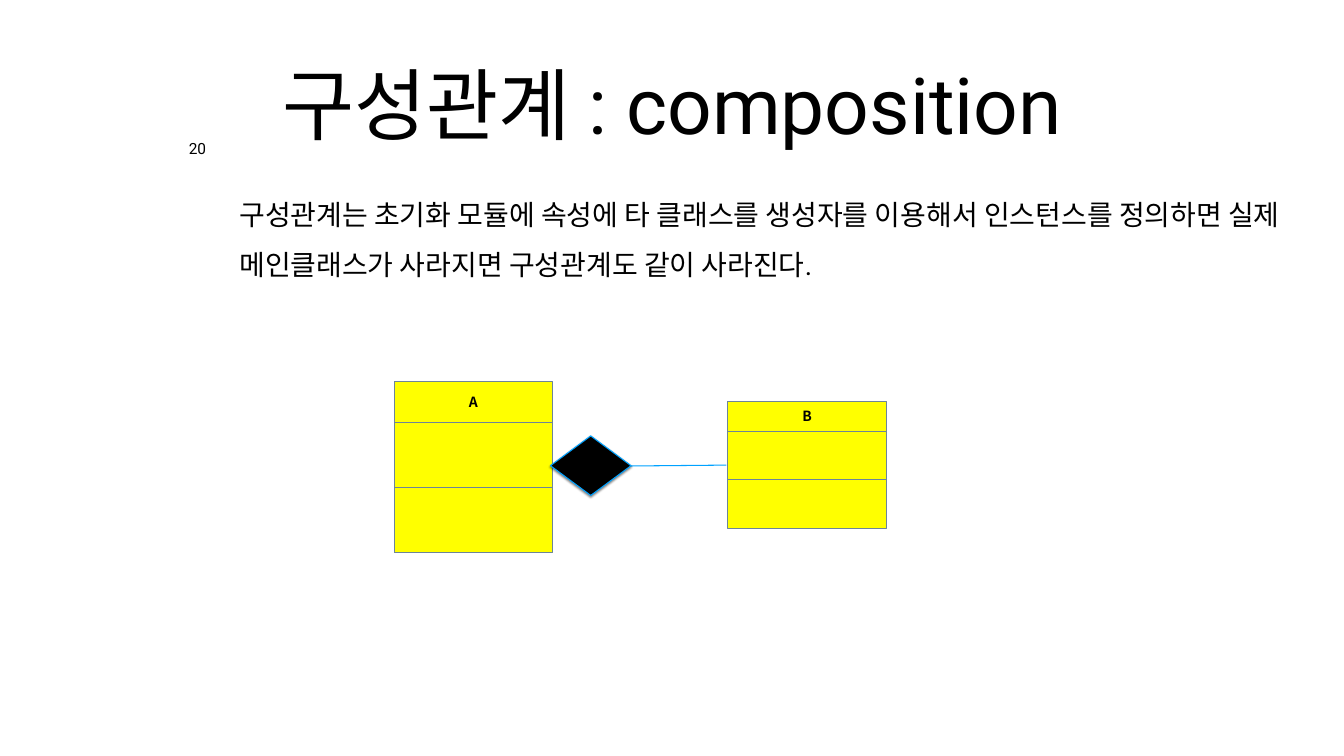
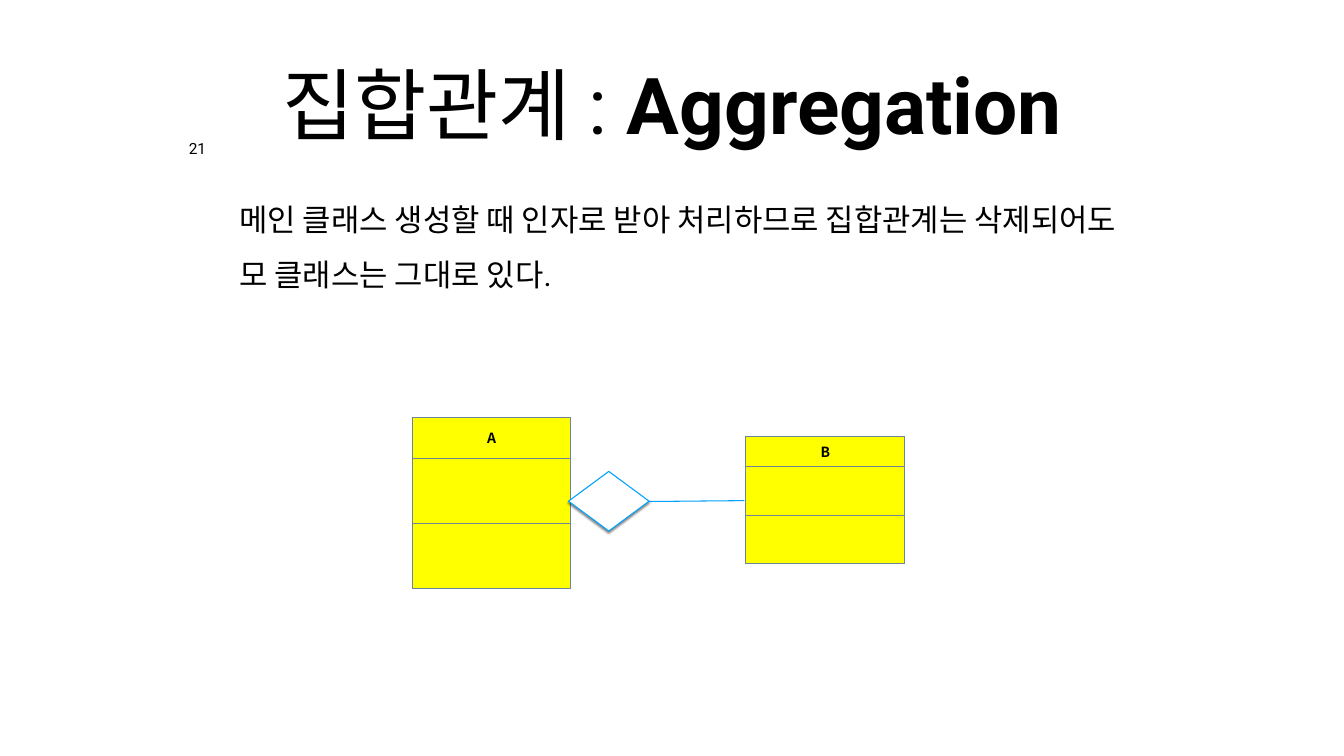
import pptx
import pptx.util
import pptx.dml.color
import pptx.enum.shapes
import pptx.enum.text
import pptx.oxml
from pptx.util import Cm, Pt

BLACK = "000000"
YELLOW = "FFFF00"
SLATE = "6C8599"
BLUE = "00A2FF"
TEXT_FONT = "Roboto"
CLASS_FONT = "Noto Sans CJK KR"
CLASS_WIDTH = 8

DRAWING_NS = 'xmlns:a="http://schemas.openxmlformats.org/drawingml/2006/main"'
DIAMOND_SHADOW = (
    f'<a:effectLst {DRAWING_NS}><a:outerShdw blurRad="{Pt(3)}" dist="{Pt(2.4)}" '
    f'dir="5400000" rotWithShape="0"><a:srgbClr val="{BLACK}"><a:alpha val="45000"/>'
    '</a:srgbClr></a:outerShdw></a:effectLst>'
)

ALIGN = pptx.enum.text.PP_ALIGN
ANCHOR = pptx.enum.text.MSO_ANCHOR
SHAPE = pptx.enum.shapes.MSO_SHAPE

# Classes: name, left, top, header height, section height (cm)
CLASSES = [
    ("A", 19.86, 19.25, 2.05, 3.28),
    ("B", 36.68, 20.22, 1.52, 2.44),
]

SLIDES = [
    {
        "number": "20",
        "title": [("구성관계 : composition", False)],
        "body": "구성관계는 초기화 모듈에 속성에 타 클래스를 생성자를 이용해서 인스턴스를 "
                "정의하면 실제 메인클래스가 사라지면 구성관계도 같이 사라진다.",
        "body_size": 40,
        "body_area": (53.42, 9.37),
        "body_anchor": ANCHOR.TOP,
        "shift": (0, 0),
        "diamond": BLACK,
    },
    {
        "number": "21",
        "title": [("집합관계 : ", False), ("Aggregation", True)],
        "body": "메인 클래스 생성할 때 인자로 받아 처리하므로 집합관계는 삭제되어도 "
                "모 클래스는 그대로 있다.",
        "body_size": 44,
        "body_area": (45.29, 6.17),
        "body_anchor": ANCHOR.MIDDLE,
        "shift": (0.91, 1.79),
        "diamond": "FFFFFF",
    },
]


def paint(target, color):
    """Give a fill, line or font a solid colour from a hex string."""
    if hasattr(target, "solid"):
        target.solid()
        target = target.fore_color
    else:
        target = target.color
    target.rgb = pptx.dml.color.RGBColor.from_string(color)


def format_text(frame, size, font, align, anchor, inset=0.2, wrap=True):
    frame.auto_size = pptx.enum.text.MSO_AUTO_SIZE.NONE
    frame.word_wrap = wrap
    frame.vertical_anchor = anchor
    frame.margin_left = frame.margin_right = Cm(inset)
    frame.margin_top = frame.margin_bottom = Cm(inset)
    for para in frame.paragraphs:
        para.alignment = align
        for span in para.runs:
            span.font.size = Pt(size)
            span.font.name = font
            paint(span.font, BLACK)


deck = pptx.Presentation()
deck.slide_width = Cm(67.73)
deck.slide_height = Cm(38.1)

for content in SLIDES:
    page = deck.slides.add_slide(deck.slide_layouts[1])
    shift_x, shift_y = content["shift"]

    title = page.shapes.title
    title.left, title.top, title.width, title.height = Cm(12.19), Cm(0.99), Cm(43.36), Cm(8.43)
    for text, bold in content["title"]:
        span = title.text_frame.paragraphs[0].add_run()
        span.text = text
        span.font.bold = bold
    format_text(title.text_frame, 112, TEXT_FONT, ALIGN.CENTER, ANCHOR.MIDDLE)

    body = page.placeholders[1]
    body.left, body.top = Cm(11.86), Cm(8.89)
    body.width, body.height = [Cm(length) for length in content["body_area"]]
    body.text_frame.text = content["body"]
    format_text(body.text_frame, content["body_size"], TEXT_FONT, ALIGN.LEFT, content["body_anchor"])
    para = body.text_frame.paragraphs[0]
    para.line_spacing = 1.5
    para.space_before = Pt(59)
    properties = para._p.get_or_add_pPr()
    properties.set("marL", "0")
    properties.set("indent", "0")
    properties.append(pptx.oxml.parse_xml(f"<a:buNone {DRAWING_NS}/>"))

    number = page.shapes.add_textbox(Cm(9.32), Cm(6.99), Cm(1.27), Cm(1.14))
    number.text_frame.text = content["number"]
    format_text(number.text_frame, 22, TEXT_FONT, ALIGN.CENTER, ANCHOR.TOP, wrap=False)
    number.text_frame.paragraphs[0].line_spacing = 0.8

    # Each class is a header above an attribute and a method section
    for name, left, top, header_height, section_height in CLASSES:
        group = page.shapes.add_group_shape()
        section_top = top + shift_y
        for text, height in ((name, header_height), ("", section_height), ("", section_height)):
            box = group.shapes.add_shape(
                SHAPE.RECTANGLE, Cm(left + shift_x), Cm(section_top), Cm(CLASS_WIDTH), Cm(height))
            box.shadow.inherit = False
            paint(box.fill, YELLOW)
            paint(box.line, SLATE)
            box.line.width = Pt(1.5)
            if text:
                box.text_frame.text = text
                format_text(box.text_frame, 20, CLASS_FONT, ALIGN.CENTER, ANCHOR.MIDDLE, inset=0.25)
                box.text_frame.paragraphs[0].runs[0].font.bold = True
            section_top += height

    relation = page.shapes.add_connector(
        pptx.enum.shapes.MSO_CONNECTOR.STRAIGHT,
        Cm(27.91 + shift_x), Cm(23.52 + shift_y), Cm(36.6 + shift_x), Cm(23.44 + shift_y))
    paint(relation.line, BLUE)
    relation.line.width = Pt(1.5)
    relation._element.spPr.append(pptx.oxml.parse_xml(f"<a:effectLst {DRAWING_NS}/>"))

    diamond = page.shapes.add_shape(
        SHAPE.DIAMOND, Cm(28.27 + shift_x), Cm(21.44 + shift_y), Cm(3), Cm(4.06))
    diamond.rotation = 90
    paint(diamond.fill, content["diamond"])
    paint(diamond.line, BLUE)
    diamond.line.width = Pt(1.5)
    diamond._element.spPr.append(pptx.oxml.parse_xml(DIAMOND_SHADOW))

deck.save("out.pptx")
